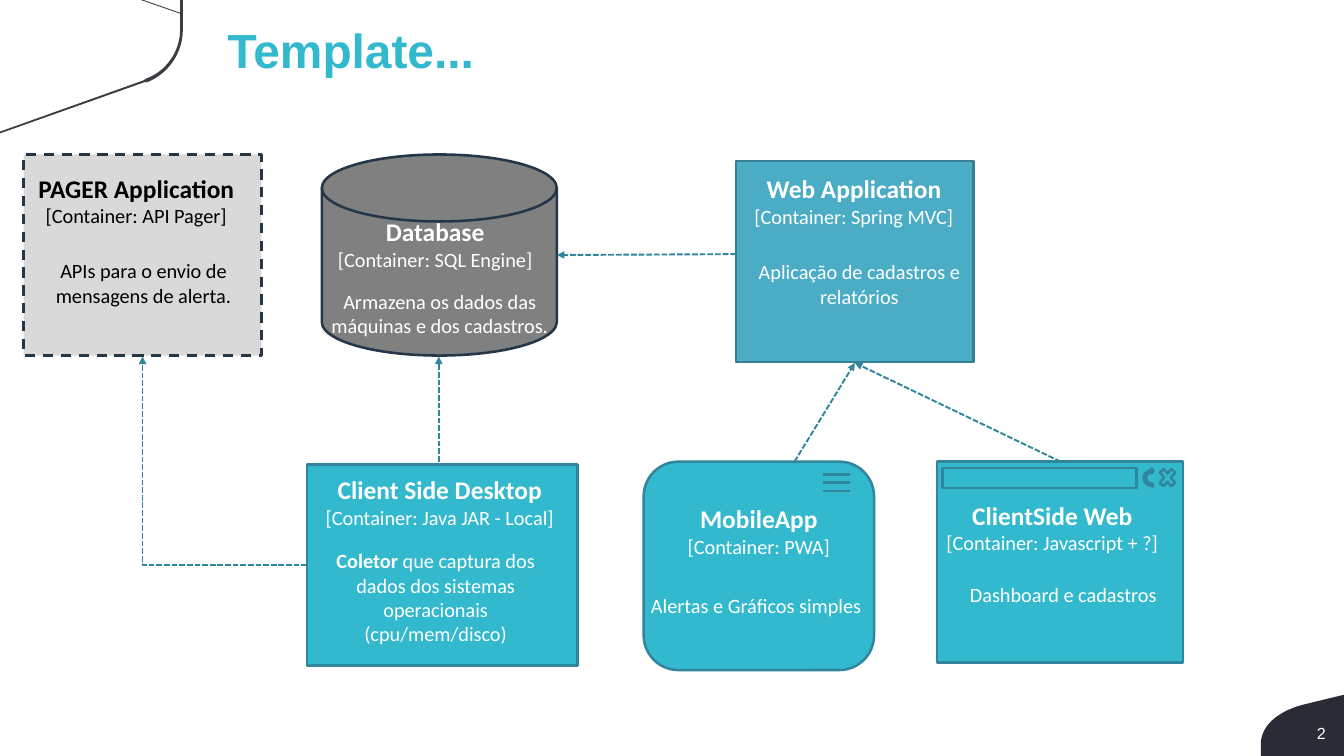
from lxml.etree import SubElement
from pptx import Presentation
from pptx.dml.color import RGBColor
from pptx.enum.dml import MSO_LINE
from pptx.enum.shapes import MSO_CONNECTOR as CONNECTOR, MSO_SHAPE as SHAPE
from pptx.enum.text import MSO_ANCHOR as ANCHOR, PP_ALIGN as ALIGN
from pptx.oxml.ns import qn
from pptx.util import Inches, Pt

COLORS = {
    "aqua": "32B9CD", "teal": "31859C", "web": "4BACC6", "web edge": "377F92",
    "grey": "808080", "light": "D9D9D9", "navy": "253746", "white": "FFFFFF",
    "black": "000000", "corner": "292C34", "swoosh": "3B3D42",
}
BORDER, ARROW = 2, 1.5


def color(name):
    return RGBColor.from_string(COLORS[name])


def inches(*lengths):
    return [Inches(length) for length in lengths]


def set_line(line, name, width, dash=None):
    line.color.rgb = color(name)
    for key, value in {"width": Pt(width), "dash_style": dash}.items():
        setattr(line, key, value)


def add_outline(shapes, kind, box, fill, edge, dash=None):
    shape = shapes.add_shape(kind, *inches(*box))
    shape.shadow.inherit = False
    if fill:
        shape.fill.solid()
        shape.fill.fore_color.rgb = color(fill)
    else:
        shape.fill.background()
    set_line(shape.line, edge, BORDER, dash)
    return shape


def add_line(shapes, start, end, width, dash=None, arrow=False, kind=CONNECTOR.STRAIGHT):
    connector = shapes.add_connector(kind, *inches(*start, *end))
    set_line(connector.line, "teal", width, dash)
    properties = connector._element.spPr
    if arrow:
        SubElement(properties.find(qn("a:ln")), qn("a:tailEnd"), type="triangle")
    SubElement(properties, qn("a:effectLst"))
    return connector


def write(frame, paragraphs, align, margins=(0.1, 0.05), anchor=ANCHOR.TOP):
    """Each paragraph is a list of runs: text, size, bold, font, colour."""
    side, edge = inches(*margins)
    settings = {"word_wrap": True, "vertical_anchor": anchor, "margin_left": side,
                "margin_right": side, "margin_top": edge, "margin_bottom": edge}
    for key, value in settings.items():
        setattr(frame, key, value)
    for index, runs in enumerate(paragraphs):
        paragraph = frame.add_paragraph() if index else frame.paragraphs[0]
        paragraph.alignment = align
        for text, size, bold, font, name in runs:
            run = paragraph.add_run()
            run.text = text
            for key, value in {"size": Pt(size), "bold": bold, "name": font}.items():
                setattr(run.font, key, value)
            run.font.color.rgb = color(name)


def bezier(start, first, second, end, steps=16):
    points = []
    for step in range(steps + 1):
        t = step / steps
        weights = ((1 - t) ** 3, 3 * t * (1 - t) ** 2, 3 * t * t * (1 - t), t ** 3)
        points.append(tuple(sum(weight * value for weight, value in zip(weights, axis))
                            for axis in zip(start, first, second, end)))
    return points


def add_freeform(shapes, points, box, fill):
    left, top = box[:2]
    placed = [inches(left + x, top + y) for x, y in points]
    builder = shapes.build_freeform(*placed[0])
    builder.add_line_segments(placed[1:], close=True)
    shape = builder.convert_to_shape()
    shape.shadow.inherit = False
    shape.fill.solid()
    shape.fill.fore_color.rgb = color(fill)
    shape.line.fill.background()


def add_swoosh(shapes, box):
    outer = bezier((1.61, 0.9), (1.84, 0.81), (2, 0.58), (2, 0.33))
    inner = bezier((1.97, 0.33), (1.97, 0.56), (1.82, 0.78), (1.6, 0.86))
    points = [(0, 1.46), (1.58, 0.9), *outer, (2, 0), (1.97, 0), (1.97, 0.14),
              (1.57, 0), (1.54, 0), (1.97, 0.15), *inner, (1.57, 0.88), (0, 1.44)]
    add_freeform(shapes, points, box, "swoosh")


def add_page_corner(shapes, box, number):
    left, top, width, height = box
    curve = bezier((0.46, 0.11), (0.19, 0.18), (0, 0.34), (0, 0.54))
    add_freeform(shapes, [(width, 0), *curve, (0, height), (width, height)], box, "corner")
    label = shapes.add_textbox(*inches(left + 0.04, top + 0.31, 0.69, 0.23))
    write(label.text_frame, [[(number, 12.6, False, "Arial", "white")]],
          ALIGN.RIGHT, (0.02, 0.01))


def add_title(slide, box, text):
    title = slide.shapes.title
    for key, value in zip(("left", "top", "width", "height"), inches(*box)):
        setattr(title, key, value)
    write(title.text_frame, [[(text, 37.7, True, "Arial", "aqua")]],
          ALIGN.LEFT, anchor=ANCHOR.MIDDLE)


def add_component(slide, box, kind, fill, edge, heading, details, dash=None, ink="white"):
    """Heading and details give x, y, width, height from the box corner, then texts."""
    shapes = slide.shapes.add_group_shape().shapes
    add_outline(shapes, kind, box, fill, edge, dash)
    (heading_box, name, container), (details_box, *parts) = heading, details
    heading_runs = [[(name, 20, True, "Calibri", ink)],
                    [(container, 16, False, "Calibri", ink)]]
    detail_runs = [[(text, 16, bold, "Calibri", ink) for text, bold in parts]]
    for (x, y, width, height), runs in ((heading_box, heading_runs),
                                        (details_box, detail_runs)):
        label = shapes.add_textbox(*inches(box[0] + x, box[1] + y, width, height))
        write(label.text_frame, runs, ALIGN.CENTER)
    return shapes


def add_menu_icon(shapes, box):
    left, top, width, height = box
    for index in range(3):
        y = top + index * height / 2
        add_line(shapes, (left, y), (left + width, y), BORDER)


def add_browser_bar(shapes, box):
    left, top = box[:2]
    add_outline(shapes, SHAPE.RECTANGLE, (left + 0.06, top + 0.07, 2.12, 0.22), None, "teal")
    add_outline(shapes, SHAPE.MATH_MULTIPLY, (left + 2.4, top + 0.03, 0.24, 0.29), None, "teal")
    reload = add_outline(shapes, SHAPE.CIRCULAR_ARROW,
                         (left + 2.26, top + 0.06, 0.21, 0.24), None, "teal")
    reload.rotation = 274.1


def add_flows(shapes, desktop, messaging, database, web, mobile, browser):
    """Each argument is the point where a flow meets that component."""
    style = {"width": ARROW, "dash": MSO_LINE.SQUARE_DOT, "arrow": True}
    desktop_top, desktop_left = desktop
    database_bottom, database_right = database
    web_bottom, web_left = web
    for start, end in ((web_left, database_right), (desktop_top, database_bottom),
                       (mobile, web_bottom), (browser, web_bottom)):
        add_line(shapes, start, end, **style)
    elbow = add_line(shapes, desktop_left, messaging, kind=CONNECTOR.ELBOW, **style)
    elbow._element.spPr.find(qn("a:prstGeom")).set("prst", "bentConnector2")


presentation = Presentation()
presentation.slide_width, presentation.slide_height = inches(14.7, 8.27)
slide = presentation.slides.add_slide(presentation.slide_layouts[5])

# Frame
add_page_corner(slide.shapes, (13.79, 7.6, 0.91, 0.67), "2")
add_swoosh(slide.shapes, (0, 0, 2, 1.46))
add_title(slide, (2.39, 0.12, 11.79, 0.84), "Template...")

# Upper row
add_component(
    slide, (0.26, 1.69, 2.6, 2.2), SHAPE.RECTANGLE, "light", "navy",
    ((-0.17, 0.15, 2.8, 1.03), "PAGER Application", "[Container: API Pager]"),
    ((-0.09, 1.09, 2.8, 0.63), ("APIs para o envio de mensagens de alerta.", False)),
    MSO_LINE.DASH, "black")
add_component(
    slide, (3.52, 1.69, 2.57, 2.2), SHAPE.FLOWCHART_MAGNETIC_DISK, "grey", "navy",
    ((-0.16, 0.63, 2.8, 0.96), "Database", "[Container: SQL Engine]"),
    ((-0.11, 1.42, 2.8, 0.9), ("Armazena os dados das máquinas e dos cadastros.", False)))
add_component(
    slide, (8.05, 1.76, 2.6, 2.2), SHAPE.RECTANGLE, "web", "web edge",
    ((-0.11, 0.09, 2.8, 0.96), "Web Application", "[Container: Spring MVC]"),
    ((0.09, 1.03, 2.52, 0.9), ("Aplicação de cadastros e relatórios", False)))

# Lower row
add_component(
    slide, (3.36, 5.08, 2.96, 2.2), SHAPE.RECTANGLE, "aqua", "teal",
    ((-0.03, 0.06, 2.96, 1.3), "Client Side Desktop", "[Container: Java JAR - Local]"),
    ((0.16, 0.87, 2.49, 1.43), ("Coletor", True),
     (" que captura dos dados dos sistemas operacionais (cpu/mem/disco)", False)))
mobile_shapes = add_component(
    slide, (7.04, 5.05, 2.52, 2.28), SHAPE.ROUNDED_RECTANGLE, "aqua", "teal",
    ((-0.14, 0.41, 2.8, 0.7), "MobileApp", "[Container: PWA]"),
    ((-0.03, 1.39, 2.52, 0.63), ("Alertas e Gráficos simples", False)))
add_menu_icon(mobile_shapes, (9, 5.19, 0.3, 0.18))
browser_box = (10.25, 5.05, 2.69, 2.2)
browser_shapes = add_component(
    slide, browser_box, SHAPE.RECTANGLE, "aqua", "teal",
    ((-0.14, 0.37, 2.8, 0.96), "ClientSide Web", "[Container: Javascript + ?]"),
    ((-0.02, 1.27, 2.8, 0.36), ("Dashboard e cadastros", False)))
add_browser_bar(browser_shapes, browser_box)

# Flows
add_flows(slide.shapes, desktop=((4.8, 5.05), (3.36, 6.18)), messaging=(1.56, 3.9),
          database=((4.8, 3.9), (6.09, 2.79)), web=((9.35, 3.97), (8.05, 2.78)),
          mobile=(8.69, 5.05), browser=(11.6, 5.05))

presentation.save("out.pptx")
